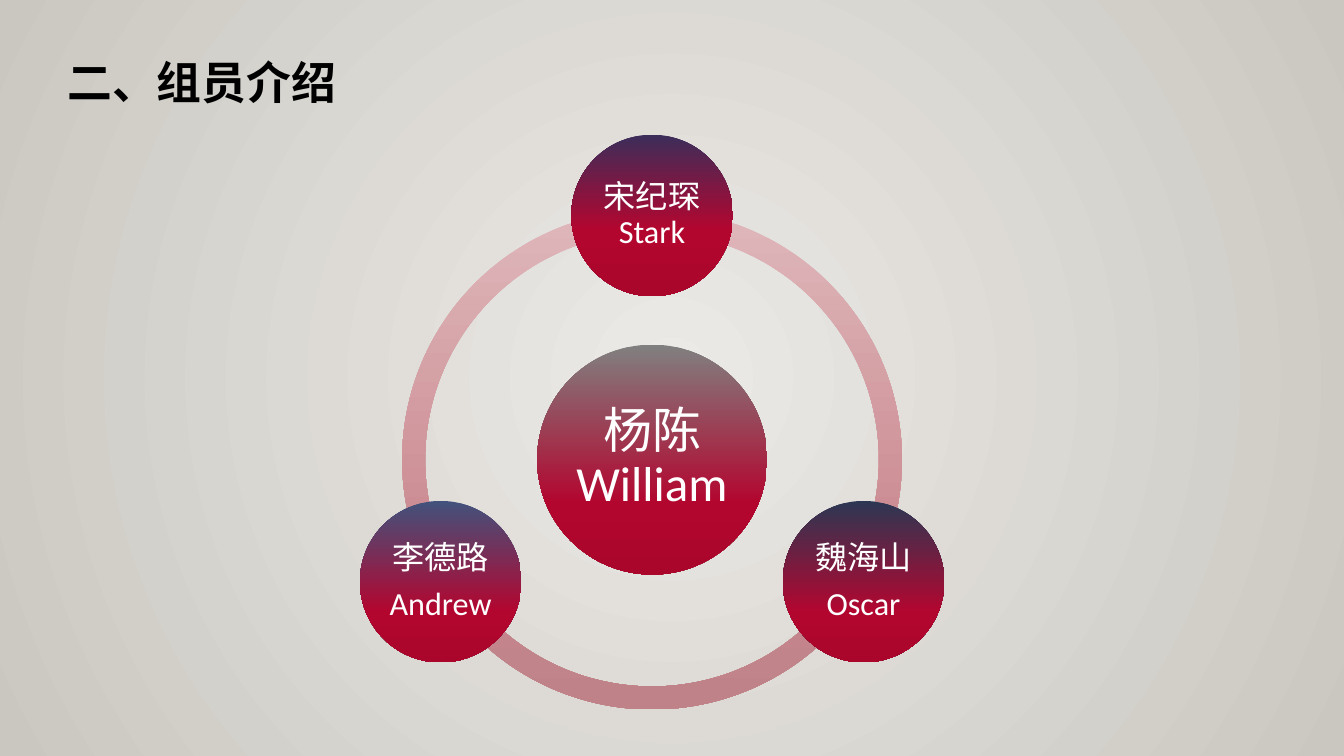
from math import cos, radians, sin

from lxml import etree
from pptx import Presentation
from pptx.dml.color import RGBColor
from pptx.enum.shapes import MSO_SHAPE
from pptx.enum.text import MSO_ANCHOR, PP_ALIGN
from pptx.oxml.ns import qn
from pptx.util import Pt

OVAL, ARC = MSO_SHAPE.OVAL, MSO_SHAPE.BLOCK_ARC
CENTER, MIDDLE = PP_ALIGN.CENTER, MSO_ANCHOR.MIDDLE

COLORS = {
    "text": "000000", "name": "FFFFFF",
    "glow": "ECEAE7", "edge": "CAC7C1",
    "pale": "DFB7BB", "rose": "C9888E", "dusk": "BE8288",
    "red": "B3062F", "deep": "AA062C",
    "gray": "808080", "plum": "3C2D5A", "navy": "2C3753", "blue": "42527C",
}
MID_X, MID_Y = 465.8, 328.3
RING, CORE, NODE = 357, 164.2, 115.4
ORBIT = 174.4
ARCS = [(90, 162), (18, 90), (162, 18)]
# Angle, top colour, stop of the red, lines of text
NODES = [
    (-90, "plum", 59, ["宋纪琛Stark"]),
    (30, "navy", 69, ["魏海山", "Oscar"]),
    (150, "blue", 69, ["李德路", "Andrew"]),
]


def shade(fill, owner, stops, radial=False):
    """Give fill a gradient of (percent, colour) stops, downward or radial."""
    fill.gradient()
    grad = next(owner.iter(qn("a:gradFill")))
    for child in list(grad):
        grad.remove(child)
    group = etree.SubElement(grad, qn("a:gsLst"))
    for pos, color in stops:
        stop = etree.SubElement(group, qn("a:gs"), pos=str(pos * 1000))
        etree.SubElement(stop, qn("a:srgbClr"), val=COLORS[color])
    if radial:
        way = etree.SubElement(grad, qn("a:path"), path="circle")
        sides = dict.fromkeys("ltrb", "50000")
        etree.SubElement(way, qn("a:fillToRect"), **sides)
    else:
        etree.SubElement(grad, qn("a:lin"), ang="5400000", scaled="0")


def add_round(slide, kind, x, y, size, stops):
    """Add a shaded shape of equal width and height centred on x, y."""
    shape = slide.shapes.add_shape(
        kind, Pt(x - size / 2), Pt(y - size / 2), Pt(size), Pt(size))
    shape.shadow.inherit = False
    shape.line.fill.background()
    shade(shape.fill, shape._element, stops)
    return shape


def add_arc(slide, start, end):
    stops = [(0, "pale"), (69, "rose"), (100, "dusk")]
    arc = add_round(slide, ARC, MID_X, MID_Y, RING, stops)
    # One degree is 60000 units, and an adjustment of 1 is 100000 units
    for i, value in enumerate((start * 0.6, end * 0.6, 0.046)):
        arc.adjustments[i] = value


def style(para, font, size, color, bold=False):
    para.line_spacing = 0.9
    para.font.name = font
    para.font.size = Pt(size)
    para.font.bold = bold
    para.font.color.rgb = RGBColor.from_string(COLORS[color])


def add_member(slide, x, y, size, top, stop, lines, points, inset):
    stops = [(0, top), (stop, "red"), (100, "deep")]
    frame = add_round(slide, OVAL, x, y, size, stops).text_frame
    frame.word_wrap = True
    frame.vertical_anchor = MIDDLE
    frame.margin_left = frame.margin_right = Pt(inset)
    frame.margin_top = frame.margin_bottom = Pt(inset)
    frame.text = "\n".join(lines)
    for para in frame.paragraphs:
        style(para, "Calibri", points, "name")
        para.alignment = CENTER
        para.space_after = Pt(points * 0.35)


def add_title(slide, text):
    box = slide.shapes.add_textbox(Pt(41), Pt(39.6), Pt(756), Pt(47.5))
    box.text_frame.word_wrap = True
    box.text_frame.text = text
    style(box.text_frame.paragraphs[0], "Arial", 32, "text", bold=True)


def main():
    deck = Presentation()
    deck.slide_width, deck.slide_height = Pt(960), Pt(540)
    slide = deck.slides.add_slide(deck.slide_layouts[6])
    shade(slide.background.fill, slide._element,
          [(0, "glow"), (100, "edge")], radial=True)
    add_title(slide, "二、组员介绍")
    for start, end in ARCS:
        add_arc(slide, start, end)
    add_member(slide, MID_X, MID_Y, CORE, "gray", 69, ["杨陈William"], 35, 3.5)
    for angle, top, stop, lines in NODES:
        turn = radians(angle)
        x, y = MID_X + ORBIT * cos(turn), MID_Y + ORBIT * sin(turn)
        add_member(slide, x, y, NODE, top, stop, lines, 23, 2.3)
    deck.save("out.pptx")


if __name__ == "__main__":
    main()
